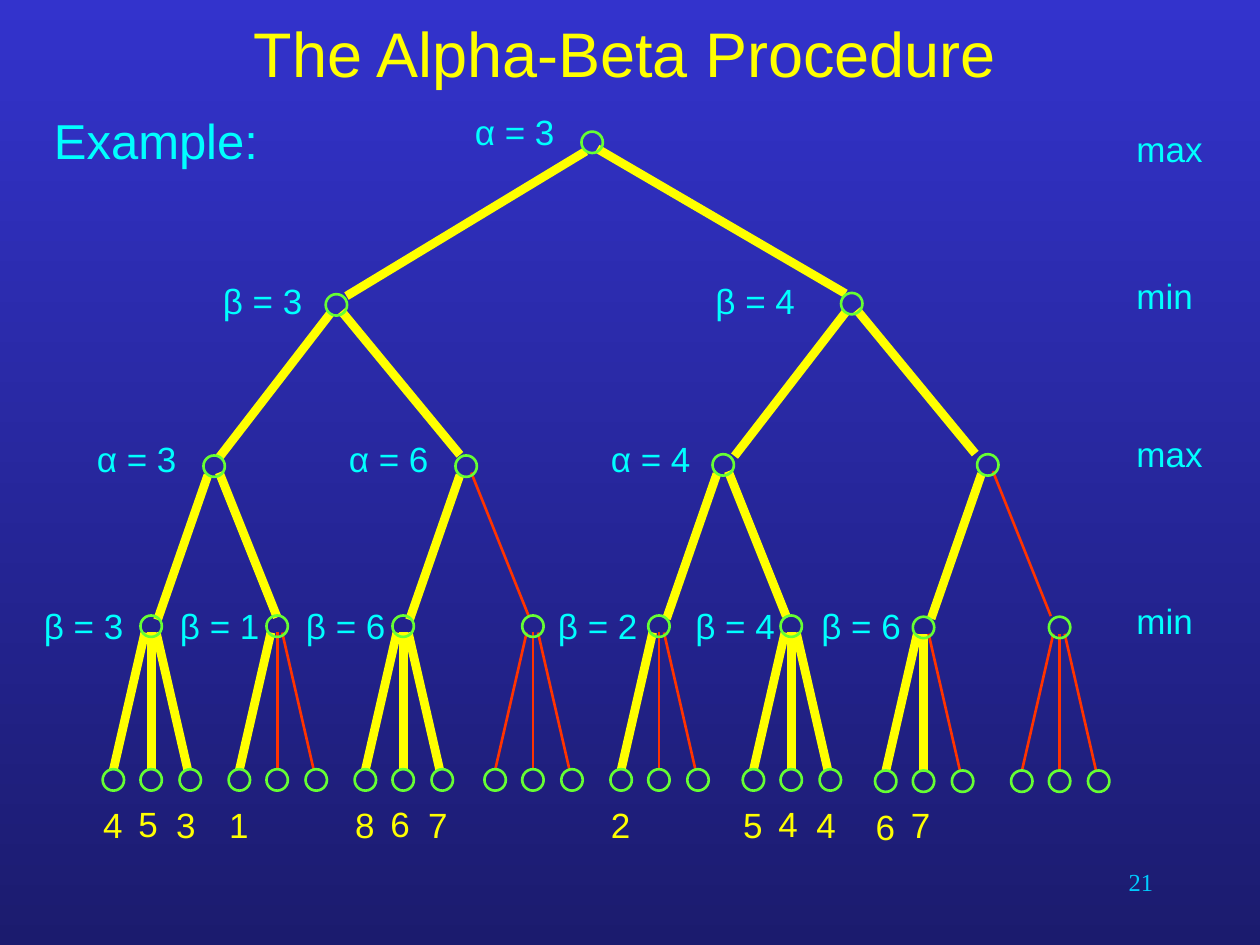
from lxml import etree
from pptx import Presentation
from pptx.dml.color import RGBColor
from pptx.enum.shapes import MSO_CONNECTOR, MSO_SHAPE
from pptx.enum.text import MSO_ANCHOR, PP_ALIGN
from pptx.oxml.ns import qn
from pptx.util import Inches, Pt

LINE = MSO_CONNECTOR.STRAIGHT
OVAL = MSO_SHAPE.OVAL
MIDDLE = MSO_ANCHOR.MIDDLE
CENTER, LEFT, RIGHT = PP_ALIGN.CENTER, PP_ALIGN.LEFT, PP_ALIGN.RIGHT
rgb = RGBColor.from_string

YELLOW, CYAN = "FFFF00", "00FFFF"
GREEN, RED = "66FF33", "FF3300"
SIZE = 0.17  # node diameter

deck = Presentation()
deck.slide_width, deck.slide_height = Inches(10), Inches(7.5)
slide = deck.slides.add_slide(deck.slide_layouts[5])
shapes = slide.shapes

# Background gradient, light at the top
back = slide.background.fill
back.gradient()
back.gradient_angle = 270
for stop, color in zip(back.gradient_stops, ("3333CC", "1B1B6E")):
    stop.color.rgb = rgb(color)


def write(box, text, size, color, font="Arial", align=LEFT):
    frame = box.text_frame
    frame.word_wrap = True
    frame.text = text
    para = frame.paragraphs[0]
    para.alignment = align
    run = para.runs[0].font
    run.name, run.size, run.color.rgb = font, Pt(size), rgb(color)


def branch(x, y, to_x, to_y, kind):
    edge = shapes.add_connector(LINE, Inches(x), Inches(y), Inches(to_x), Inches(to_y))
    # Y is a searched branch, R a pruned one
    color, width = (YELLOW, 5) if kind == "Y" else (RED, 1.5)
    edge.line.color.rgb = rgb(color)
    edge.line.width = Pt(width)
    etree.SubElement(edge._element.spPr, qn("a:effectLst"))


# Title
title = shapes.title
title.left, title.top = Inches(0.25), Inches(0)
title.width, title.height = Inches(9.42), Inches(0.83)
title.text_frame.vertical_anchor = MIDDLE
write(title, "The Alpha-Beta Procedure", 36, YELLOW, align=CENTER)

nodes = []  # node centres
labels = []  # left, top, width, text, colour

# Bottom families: centre x, shift down, branch kinds, leaf values
families = [
    (1.2, 0, "YYY", "453"), (2.2, 0, "YRR", "1"),
    (3.2, 0, "YYY", "867"), (4.23, 0, "RRR", ""),
    (5.23, 0, "YRR", "2"), (6.28, 0, "YYY", "544"),
    (7.33, 0.01, "YYR", "67"), (8.41, 0.01, "RRR", ""),
]
for x, shift, kinds, values in families:
    nodes.append((x, 4.97 + shift))
    for kind, leaf, foot, top in zip(kinds, (-0.3, 0, 0.31), (-0.3, 0, 0.29), (-0.05, 0, 0.04)):
        branch(x + foot, 6.11 + shift, x + top, 5.02 + shift, kind)
        nodes.append((x + leaf, 6.19 + shift))
    for value, left, top in zip(values, (-0.48, -0.2, 0.1), (6.33, 6.32, 6.33)):
        labels.append((x + left, top + shift, 0.42, value, YELLOW))

# Upper levels: reach left, reach right, drop, then parents (x, y, kinds)
levels = [
    (0.45, 0.5, 1.22, [(1.7, 3.7, "YY"), (3.7, 3.7, "YR"),
                       (5.74, 3.69, "YY"), (7.84, 3.69, "YR")]),
    (0.93, 0.98, 1.21, [(2.67, 2.42, "YY"), (6.76, 2.41, "YY")]),
    (1.95, 2.01, 1.22, [(4.7, 1.13, "YY")]),
]
for left, right, drop, parents in levels:
    for x, y, kinds in parents:
        branch(x - left, y + drop, x - 0.05, y + 0.07, kinds[0])
        branch(x + right, y + drop - 0.02, x + 0.04, y + 0.05, kinds[1])
        nodes.append((x, y))

# Nodes
for x, y in nodes:
    node = shapes.add_shape(OVAL, Inches(x - SIZE / 2), Inches(y - SIZE / 2),
                            Inches(SIZE), Inches(SIZE))
    node.shadow.inherit = False
    node.fill.background()
    node.line.color.rgb = rgb(GREEN)
    node.line.width = Pt(1.5)

# Alpha and beta bounds: top, letter, then (left, value)
bounds = [
    (0.83, "α", [(3.67, 3)]),
    (2.17, "β", [(1.67, 3), (5.58, 4)]),
    (3.42, "α", [(0.67, 3), (2.67, 6), (4.75, 4)]),
    (4.75, "β", [(0.25, 3), (1.33, 1), (2.33, 6), (4.33, 2), (5.42, 4), (6.42, 6)]),
]
for top, letter, row in bounds:
    for left, value in row:
        labels.append((left, top, 1, f"{letter} = {value}", CYAN))

# Player of each level
for top, name in zip((0.96, 2.13, 3.38, 4.71), ("max", "min") * 2):
    labels.append((8.92, top, 0.75, name, CYAN))

for left, top, width, text, color in labels:
    box = shapes.add_textbox(Inches(left), Inches(top), Inches(width), Inches(0.44))
    write(box, text, 20, color)

# Heading and page number
head = shapes.add_textbox(Inches(0.33), Inches(0.83), Inches(2.25), Inches(0.57))
write(head, "Example:", 28, CYAN)
page = shapes.add_textbox(Inches(7.17), Inches(6.83), Inches(2.08), Inches(0.5))
write(page, "21", 14, "00CCFF", "Times New Roman", RIGHT)

deck.save("out.pptx")
